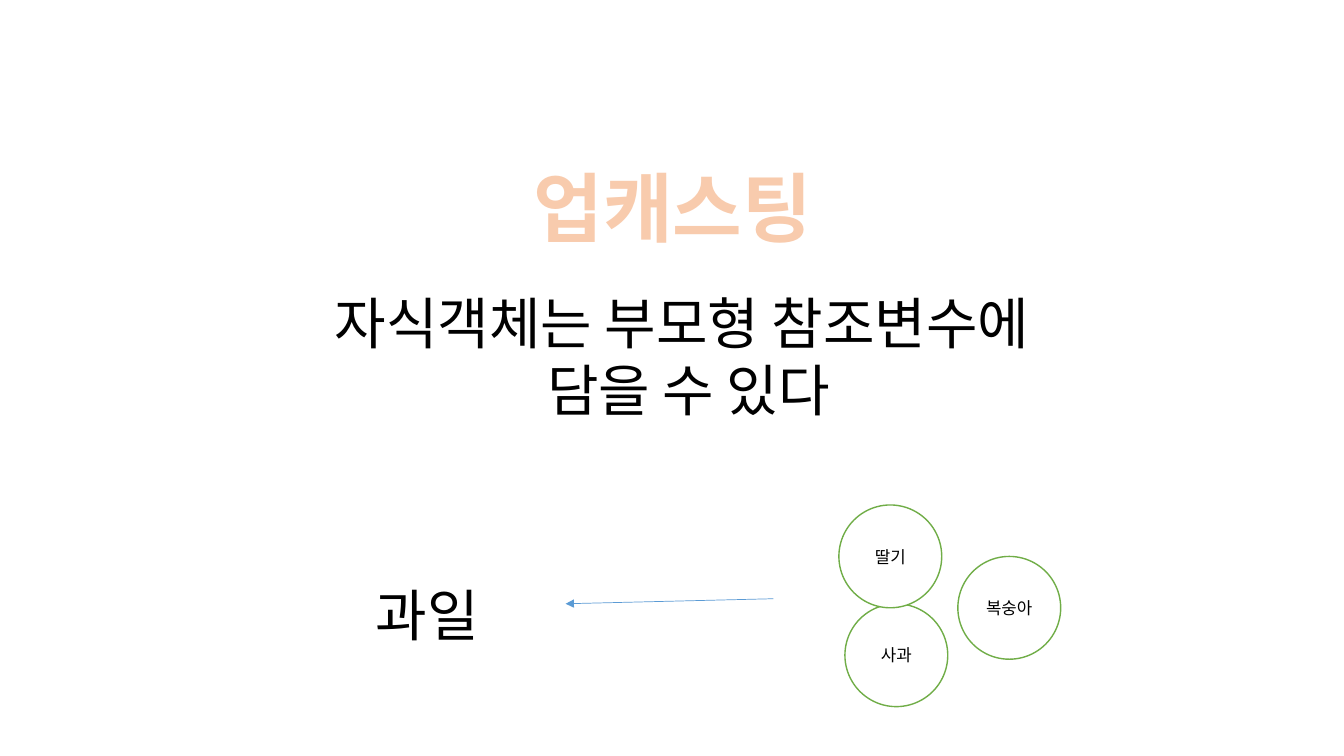
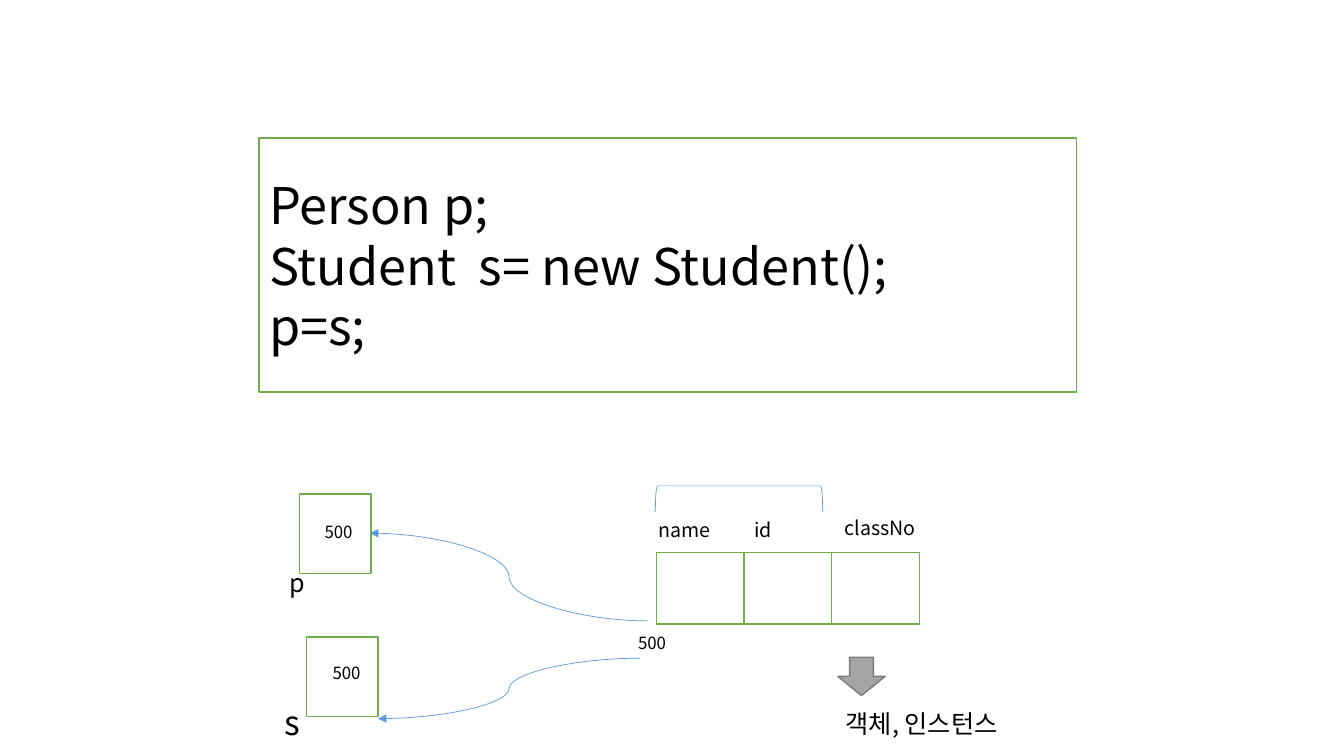
import pptx
import pptx.dml.color
import pptx.enum.dml
import pptx.enum.shapes
import pptx.enum.text
import pptx.oxml.ns
import pptx.util
from lxml import etree

Inches = pptx.util.Inches
Pt = pptx.util.Pt
Shape = pptx.enum.shapes.MSO_SHAPE
Connector = pptx.enum.shapes.MSO_CONNECTOR
Align = pptx.enum.text.PP_ALIGN
Anchor = pptx.enum.text.MSO_ANCHOR
qn = pptx.oxml.ns.qn

# Shared style
FONT = "Noto Sans CJK KR"
BLACK = "000000"
WHITE = "FFFFFF"
GREEN = "70AD47"
BLUE = "5B9BD5"
PEACH = "F8CBAD"
ORANGE = "ED7D31"
GRAY = "A5A5A5"
DARK_GRAY = "7A7A7A"


def color(value):
    return pptx.dml.color.RGBColor.from_string(value)


def set_line(line, value, width):
    line.color.rgb = color(value)
    line.width = Pt(width)


# Text
def write_text(frame, lines, size, align=Align.LEFT, text_color=BLACK, bold=False):
    for index, line in enumerate(lines):
        paragraph = frame.add_paragraph() if index else frame.paragraphs[0]
        paragraph.alignment = align
        run = paragraph.add_run()
        run.text = line
        run.font.size = Pt(size)
        run.font.bold = bold
        run.font.color.rgb = color(text_color)
        run.font.name = FONT
        latin = run.font._element.find(qn("a:latin"))
        east_asian = etree.Element(qn("a:ea"), typeface=FONT)
        latin.addnext(east_asian)


def outline_text(run, value, width):
    outline = etree.Element(qn("a:ln"), w=str(Pt(width)))
    fill = etree.SubElement(outline, qn("a:solidFill"))
    etree.SubElement(fill, qn("a:srgbClr"), val=value)
    run.font._element.insert(0, outline)


def add_text(slide, left, top, width, height, lines, size, wrap=True, **style):
    box = slide.shapes.add_textbox(
        Inches(left), Inches(top), Inches(width), Inches(height))
    frame = box.text_frame
    frame.word_wrap = wrap
    frame.auto_size = pptx.enum.text.MSO_AUTO_SIZE.SHAPE_TO_FIT_TEXT
    write_text(frame, lines, size, **style)
    return box


# Shapes and lines
def add_shape(slide, kind, left, top, width, height,
              fill=WHITE, line=GREEN, line_width=1):
    shape = slide.shapes.add_shape(
        kind, Inches(left), Inches(top), Inches(width), Inches(height))
    shape.shadow.inherit = False
    if fill:
        shape.fill.solid()
        shape.fill.fore_color.rgb = color(fill)
    else:
        shape.fill.background()
    set_line(shape.line, line, line_width)
    shape.text_frame.vertical_anchor = Anchor.MIDDLE
    return shape


def add_arrow(slide, kind, start, end):
    arrow = slide.shapes.add_connector(
        kind, *(Inches(value) for value in (*start, *end)))
    set_line(arrow.line, BLUE, 0.5)
    properties = arrow._element.spPr
    etree.SubElement(properties.find(qn("a:ln")), qn("a:tailEnd"), type="triangle")
    etree.SubElement(properties, qn("a:effectLst"))


def add_fruit(slide, left, top, name):
    circle = add_shape(slide, Shape.FLOWCHART_CONNECTOR, left, top, 1.02, 1.02)
    write_text(circle.text_frame, [name], 12, Align.CENTER)


def add_value(slide, left, top):
    add_text(slide, left, top, 0.55, 0.3, ["500"], 12)


# Slides
def build_upcasting(slide):
    title = add_text(slide, 5.01, 1.55, 3.5, 1.01, ["업캐스팅 "], 54, wrap=False,
                     align=Align.CENTER, text_color=PEACH, bold=True)
    outline_text(title.text_frame.paragraphs[0].runs[0], ORANGE, 1.75)
    add_text(slide, 2.82, 2.81, 7.89, 1.45,
             ["자식객체는 부모형 참조변수에", " 담을 수 있다"], 40,
             wrap=False, align=Align.CENTER)

    # Child objects point to the parent type
    add_fruit(slide, 8.38, 5.99, "사과")
    add_fruit(slide, 8.32, 5.01, "딸기")
    add_fruit(slide, 9.5, 5.52, "복숭아")
    add_text(slide, 3.63, 5.71, 2.44, 0.77, ["과일"], 40)
    add_arrow(slide, Connector.STRAIGHT, (7.67, 5.94), (5.61, 5.99))


def build_references(slide):
    code = add_shape(slide, Shape.RECTANGLE, 2.57, 1.37, 8.11, 2.52)
    write_text(code.text_frame,
               ["Person p;", "Student  s= new Student();", "p=s;"], 36)

    # Reference variables
    for left, top in ((2.97, 4.9), (3.04, 6.32)):
        add_shape(slide, Shape.RECTANGLE, left, top, 0.71, 0.79)
    add_text(slide, 2.77, 5.58, 0.39, 0.4, ["p"], 18)
    add_text(slide, 2.72, 6.91, 0.39, 0.5, ["s"], 24)

    # Fields of the object
    field_width = 0.87
    for index in range(3):
        add_shape(slide, Shape.RECTANGLE, 6.51 + index * field_width, 5.48,
                  field_width, 0.71)
    for name, left, top, width in (("name", 6.43, 5.09, 0.79),
                                   ("id", 7.38, 5.09, 0.79),
                                   ("classNo", 8.28, 5.07, 1.07)):
        add_text(slide, left, top, width, 0.34, [name], 14)
    bracket = add_shape(slide, Shape.RIGHT_BRACKET, 7.2, 4.12, 0.26, 1.66,
                        fill=None, line=BLUE, line_width=0.5)
    bracket.rotation = 270

    # Address shared by both variables
    add_arrow(slide, Connector.CURVE, (6.43, 6.16), (3.67, 5.29))
    add_arrow(slide, Connector.CURVE, (6.35, 6.53), (3.75, 7.13))
    for left, top in ((6.23, 6.23), (3.12, 5.13), (3.2, 6.53)):
        add_value(slide, left, top)

    # Object label
    add_shape(slide, Shape.DOWN_ARROW, 8.31, 6.52, 0.47, 0.38,
              fill=GRAY, line=DARK_GRAY)
    add_text(slide, 8.29, 6.98, 2.17, 0.4, ["객체, 인스턴스"], 18)


def main():
    presentation = pptx.Presentation()
    presentation.slide_width = Inches(13.33)
    presentation.slide_height = Inches(7.5)
    blank = presentation.slide_layouts[6]
    for build in (build_upcasting, build_references):
        build(presentation.slides.add_slide(blank))
    presentation.save("out.pptx")


if __name__ == "__main__":
    main()
